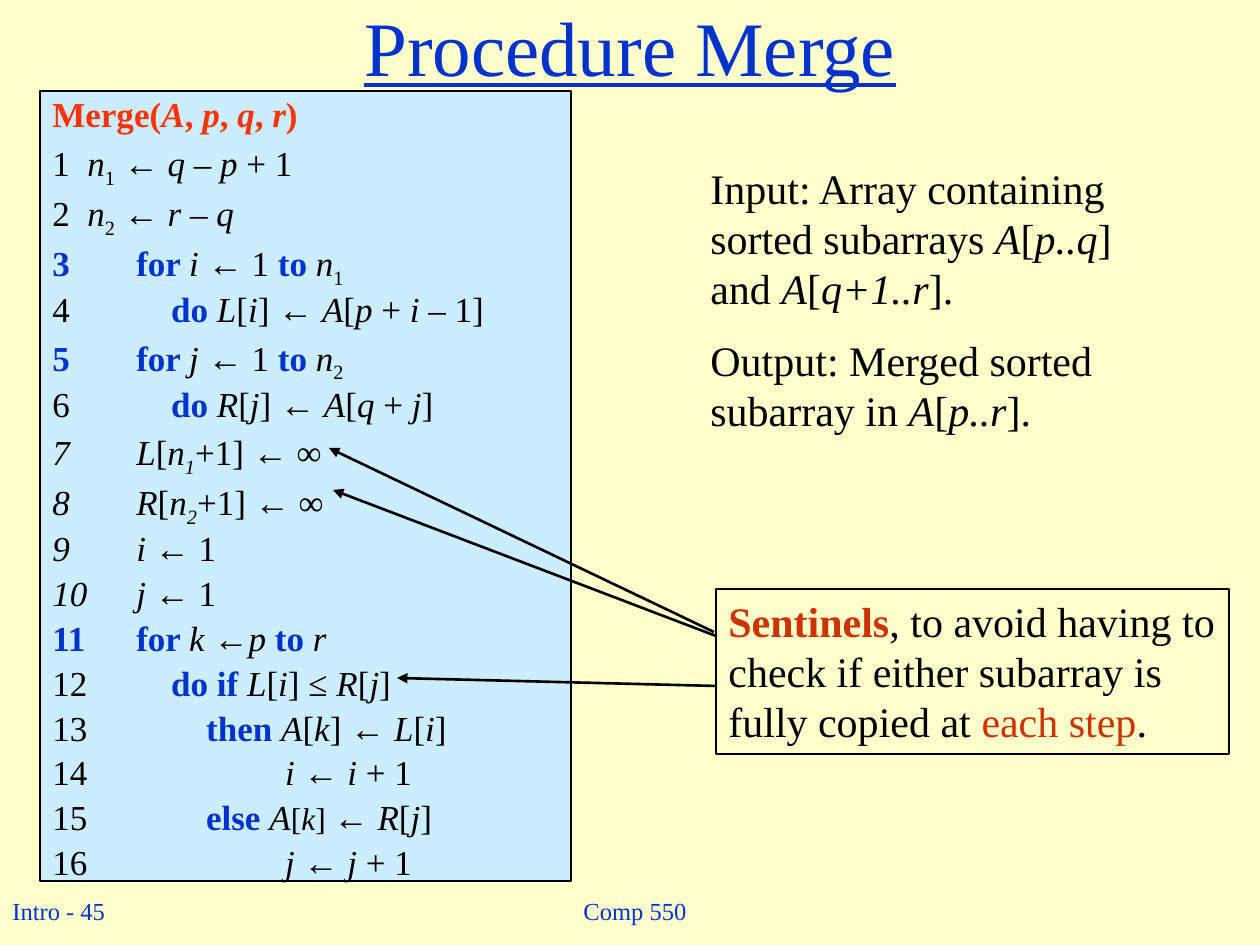
from lxml.etree import SubElement
from pptx import Presentation
from pptx.dml.color import RGBColor
from pptx.enum.shapes import MSO_CONNECTOR, MSO_SHAPE
from pptx.enum.text import MSO_ANCHOR, PP_ALIGN
from pptx.oxml.ns import qn
from pptx.util import Emu, Pt

CREAM = RGBColor(0xFF, 0xFF, 0xCC)
SKY = RGBColor(0xCC, 0xEC, 0xFF)
BLUE = RGBColor(0x00, 0x33, 0xCC)
ORANGE = RGBColor(0xFF, 0x33, 0x00)
RUST = RGBColor(0xCC, 0x33, 0x00)
BLACK = RGBColor(0x00, 0x00, 0x00)
FONT = "Times New Roman"

STYLES = {
    ".": {},
    "i": {"italic": True},
    "k": {"bold": True, "color": BLUE},
    "h": {"bold": True, "color": ORANGE},
    "H": {"bold": True, "italic": True, "color": ORANGE},
    "s": {"baseline": "-25000"},
    "S": {"italic": True, "baseline": "-25000"},
    "m": {"size": 18},
    "M": {"size": 18, "italic": True},
    "r": {"color": RUST},
    "R": {"bold": True, "color": RUST},
    "b": {"color": BLUE},
    "u": {"color": BLUE, "underline": True},
}


def px(value):
    return Emu(round(value * 914400 / 126))


def write_runs(paragraph, markup, size):
    for part in markup.split("|"):
        run = paragraph.add_run()
        run.text = part[1:]
        values = {"name": FONT, "size": size, "color": BLACK, "bold": False,
                  "italic": False} | STYLES[part[0]]
        run.font.color.rgb = values.pop("color")
        run.font.size = Pt(values.pop("size"))
        baseline = values.pop("baseline", None)
        if baseline:
            run.font._element.set("baseline", baseline)
        for attribute, value in values.items():
            setattr(run.font, attribute, value)


presentation = Presentation()
presentation.slide_width = px(1260)
presentation.slide_height = px(945)
slide = presentation.slides.add_slide(presentation.slide_layouts[5])
slide.background.fill.solid()
slide.background.fill.fore_color.rgb = CREAM

title = slide.shapes.title
title.left, title.top, title.width, title.height = px(0), px(0), px(1260), px(90)
title_frame = title.text_frame
title_frame.margin_top = title_frame.margin_bottom = 0
title_frame.vertical_anchor = MSO_ANCHOR.TOP
title_paragraph = title_frame.paragraphs[0]
title_paragraph.alignment = PP_ALIGN.CENTER
write_runs(title_paragraph, "uProcedure Merge", 44)

code_box = slide.shapes.add_shape(MSO_SHAPE.RECTANGLE, px(40), px(91), px(531), px(790))
code_box.shadow.inherit = False
code_box.fill.solid()
code_box.fill.fore_color.rgb = SKY
code_box.line.color.rgb = BLACK
code_box.line.width = Pt(1.5)
code_box.text_frame.word_wrap = True
code_box.text_frame.vertical_anchor = MSO_ANCHOR.TOP

CODE_LINES = [
    (84, False, "hMerge(|HA|h, |Hp|h, |Hq|h, |Hr|h)"),
    (35, False, ".1\t|in|s1|. ← |iq |.– |ip |.+ 1"),
    (35, False, ".2\t|in|s2|. ← |ir |.– |iq"),
    (84, True, "kfor |ii |.← 1 |kto |in|s1"),
    (110, True, ". |kdo |iL|.[|ii|.] ← |iA|.[|ip |.+ |ii |.– 1]"),
    (84, True, "kfor |ij |.← 1 |kto |in|s2"),
    (110, True, ". |kdo |iR|.[|ij|.] ← |iA|.[|iq |.+ |ij|.]"),
    (84, True, "iL|.[|in|S1|.+1] ← ∞"),
    (84, True, "iR|.[|in|S2|.+1] ← ∞"),
    (84, True, "ii|. ← 1"),
    (84, True, "ij|. ← 1"),
    (84, True, "kfor |ik |.←|ip |kto |ir"),
    (110, True, ". |kdo if |iL|.[|ii|.] ≤ |iR|.[|ij|.]"),
    (145, True, ". |kthen |iA|.[|ik|.] ← |iL|.[|ii|.]"),
    (224, True, ". |ii |.← |ii|. + 1"),
    (145, True, ". |kelse |iA|m[|Mk|m] |.← |iR|.[|ij|.]"),
    (224, True, ". |ij |.← |ij|. + 1"),
]
for index, (indent, numbered, markup) in enumerate(CODE_LINES):
    frame = code_box.text_frame
    paragraph = frame.add_paragraph() if index else frame.paragraphs[0]
    paragraph.alignment = PP_ALIGN.LEFT
    paragraph.line_spacing = 0.9
    paragraph.space_before = Pt(4)
    properties = paragraph._p.get_or_add_pPr()
    properties.set("marL", str(px(indent)))
    properties.set("indent", str(-px(indent)))
    if numbered:
        SubElement(properties, qn("a:buFontTx"))
        SubElement(properties, qn("a:buAutoNum"), type="arabicPlain", startAt="3")
    write_runs(paragraph, markup, 20)

TEXT_BOXES = [
    ((0, 890, 122, 41), 14, 0, False, PP_ALIGN.LEFT, MSO_ANCHOR.TOP, None,
     ["bIntro - 45"]),
    ((504, 879, 262, 63), 14, 0, False, PP_ALIGN.CENTER, MSO_ANCHOR.MIDDLE, None,
     ["bComp 550"]),
    ((716, 589, 513, 165), 24, 0, False, PP_ALIGN.LEFT, MSO_ANCHOR.TOP, BLACK,
     ["RSentinels|., to avoid having to", ".check if either subarray is",
      ".fully copied at |reach step|.."]),
    ((698, 156, 467, 290), 24, 12, True, PP_ALIGN.LEFT, MSO_ANCHOR.TOP, None,
     [".Input: Array containing sorted subarrays |iA|.[|ip..q|.] and |iA|.[|iq+1..r|.].",
      ".Output: Merged sorted subarray in |iA|.[|ip..r|.]."]),
]
for bounds, size, gap, wrap, alignment, anchor, outline, lines in TEXT_BOXES:
    text_box = slide.shapes.add_textbox(*map(px, bounds))
    frame = text_box.text_frame
    frame.word_wrap = wrap
    frame.vertical_anchor = anchor
    for index, markup in enumerate(lines):
        paragraph = frame.add_paragraph() if index else frame.paragraphs[0]
        paragraph.alignment = alignment
        paragraph.space_before = Pt(gap)
        write_runs(paragraph, markup, size)
    if outline is not None:
        text_box.line.color.rgb = outline
        text_box.line.width = Pt(1)

ARROWS = [(714, 632, 329, 448), (716, 636, 333, 490), (716, 686, 397, 678)]
for arrow_points in ARROWS:
    arrow = slide.shapes.add_connector(MSO_CONNECTOR.STRAIGHT, *map(px, arrow_points))
    arrow.line.color.rgb = BLACK
    arrow.line.width = Pt(1.5)
    SubElement(arrow.line._get_or_add_ln(), qn("a:tailEnd"), type="triangle")
    SubElement(arrow._element.spPr, qn("a:effectLst"))

presentation.save("out.pptx")
